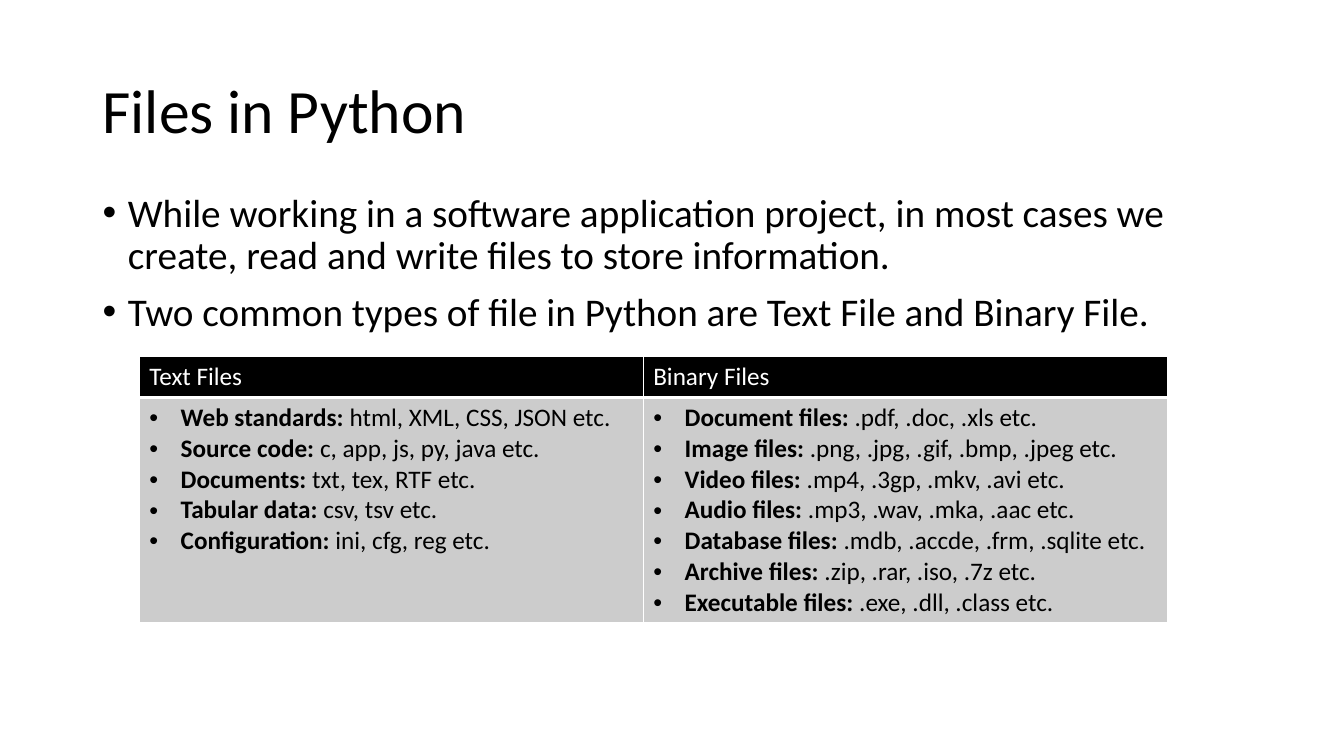
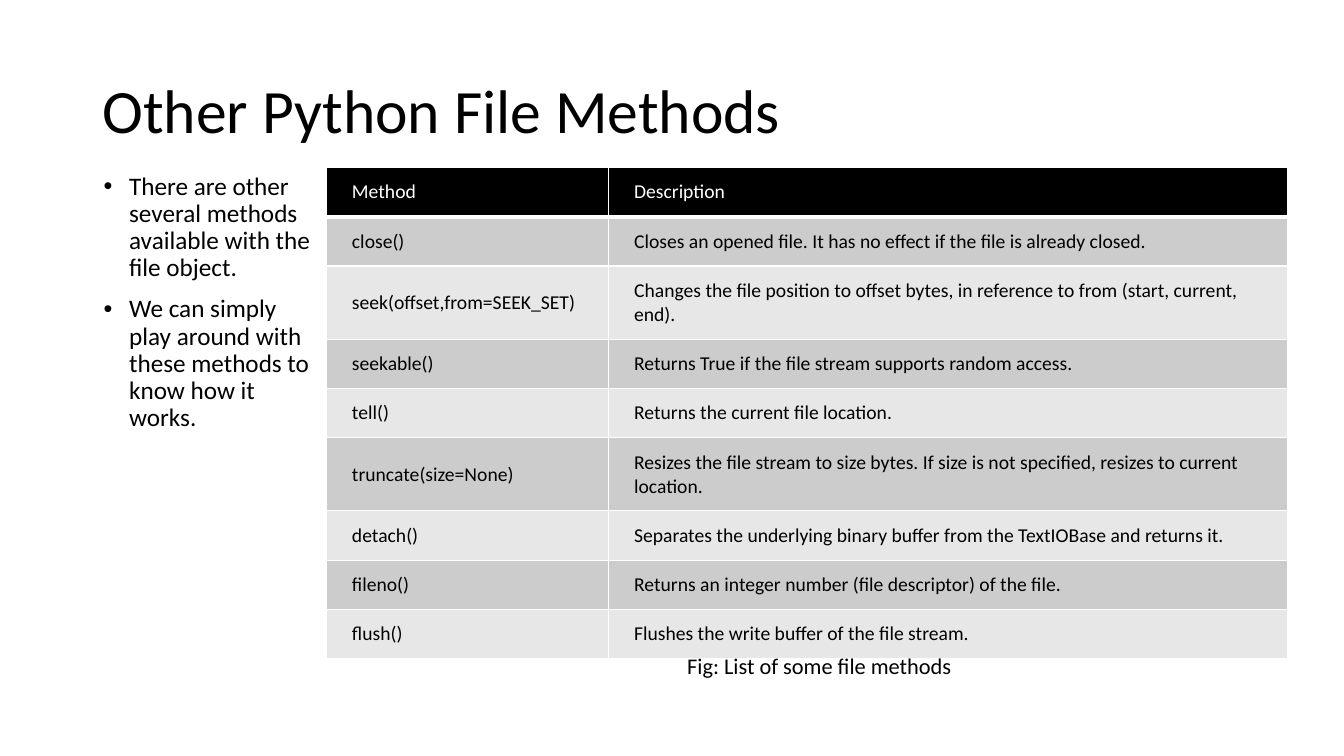
from pptx import Presentation
from pptx import util as u
from pptx.dml.color import RGBColor
from pptx.enum import text
from pptx.oxml import parse_xml
from pptx.oxml.ns import nsdecls

BLACK = RGBColor(0x00, 0x00, 0x00)
WHITE = RGBColor(0xFF, 0xFF, 0xFF)
DARK_BAND = RGBColor(0xCC, 0xCC, 0xCC)
LIGHT_BAND = RGBColor(0xE7, 0xE7, 0xE7)
FONT = "Calibri"

TEXT_FILES = [
    ("Web standards:", " html, XML, CSS, JSON etc."),
    ("Source code:", " c, app, js, py, java etc."),
    ("Documents:", " txt, tex, RTF etc."),
    ("Tabular data:", " csv, tsv etc."),
    ("Configuration:", " ini, cfg, reg etc."),
]
BINARY_FILES = [
    ("Document files:", " .pdf, .doc, .xls etc."),
    ("Image files:", " .png, .jpg, .gif, .bmp, .jpeg etc."),
    ("Video files:", " .mp4, .3gp, .mkv, .avi etc."),
    ("Audio files:", " .mp3, .wav, .mka, .aac etc."),
    ("Database files:", " .mdb, .accde, .frm, .sqlite etc."),
    ("Archive files:", " .zip, .rar, .iso, .7z etc."),
    ("Executable files:", " .exe, .dll, .class etc."),
]
METHODS = [
    ("Method", "Description"),
    ("close()", "Closes an opened file. It has no effect if the file is already closed."),
    ("seek(offset,from=SEEK_SET)",
     "Changes the file position to offset bytes, in reference to from (start, current, end)."),
    ("seekable()", "Returns True if the file stream supports random access."),
    ("tell()", "Returns the current file location."),
    ("truncate(size=None)",
     "Resizes the file stream to size bytes. If size is not specified, resizes to current location."),
    ("detach()", "Separates the underlying binary buffer from the TextIOBase and returns it."),
    ("fileno()", "Returns an integer number (file descriptor) of the file."),
    ("flush()", "Flushes the write buffer of the file stream."),
]
TALL_METHOD_ROWS = (2, 5)


def write(frame, items, size, color=BLACK, indent=None, spacing=None, gap=0):
    """Write one paragraph per item; an item is a string or (bold label, rest)."""
    for index, item in enumerate(items):
        paragraph = frame.paragraphs[0] if index == 0 else frame.add_paragraph()
        paragraph.alignment = text.PP_ALIGN.LEFT
        paragraph.space_before = u.Pt(gap if index else 0)
        if spacing:
            paragraph.line_spacing = spacing
        if indent:
            add_bullet(paragraph, indent)
        label, rest = ("", item) if isinstance(item, str) else item
        for words, bold in ((label, True), (rest, False)):
            if words:
                run = paragraph.add_run()
                run.text = words
                run.font.name, run.font.size, run.font.bold = FONT, u.Pt(size), bold
                run.font.color.rgb = color


def add_bullet(paragraph, indent):
    properties = paragraph._p.get_or_add_pPr()
    properties.set("marL", str(indent))
    properties.set("indent", str(-indent))
    properties.append(parse_xml(f'<a:buFont {nsdecls("a")} typeface="Arial"/>'))
    properties.append(parse_xml(f'<a:buChar {nsdecls("a")} char="•"/>'))


def add_borders(cell, header_rule):
    """White cell borders; header_rule names the thicker side, if any."""
    properties = cell._tc.get_or_add_tcPr()
    for side in "LRTB":
        width = u.Pt(3 if side == header_rule else 1)
        properties.append(parse_xml(
            f'<a:ln{side} {nsdecls("a")} w="{width}"><a:solidFill>'
            f'<a:srgbClr val="{WHITE}"/></a:solidFill></a:ln{side}>'))


class Deck:
    def __init__(self):
        self.presentation = Presentation()
        self.presentation.slide_width = u.Cm(33.87)
        self.presentation.slide_height = u.Cm(19.05)
        self.slide = None

    def place(self, shape, left, top, width, height):
        shape.left, shape.top = u.Cm(left), u.Cm(top)
        shape.width, shape.height = u.Cm(width), u.Cm(height)
        shape.text_frame.word_wrap = True
        shape.text_frame.auto_size = text.MSO_AUTO_SIZE.NONE
        return shape.text_frame

    def new_slide(self, title):
        self.slide = self.presentation.slides.add_slide(self.presentation.slide_layouts[1])
        frame = self.place(self.slide.shapes.title, 2.33, 1.01, 29.21, 3.68)
        frame.vertical_anchor = text.MSO_ANCHOR.MIDDLE
        write(frame, [title], 44, spacing=0.9)

    def body(self, items, box, size):
        frame = self.place(self.slide.placeholders[1], *box)
        frame.vertical_anchor = text.MSO_ANCHOR.TOP
        write(frame, items, size, indent=u.Cm(0.64), spacing=0.9, gap=10)

    def caption(self, words, box):
        frame = self.place(self.slide.shapes.add_textbox(0, 0, 0, 0), *box)
        write(frame, [words], 16)

    def table(self, rows, left, top, widths, heights, size, margins=None,
              anchor=text.MSO_ANCHOR.TOP):
        """A cell is a string, or a list that becomes bullets."""
        table = self.slide.shapes.add_table(
            len(rows), len(widths), u.Cm(left), u.Cm(top),
            u.Cm(sum(widths)), u.Cm(sum(heights))).table
        for column, width in zip(table.columns, widths):
            column.width = u.Cm(width)
        for index, (row, height, values) in enumerate(zip(table.rows, heights, rows)):
            row.height = u.Cm(height)
            header = index == 0
            band = BLACK if header else DARK_BAND if index % 2 else LIGHT_BAND
            for cell, value in zip(row.cells, values):
                add_borders(cell, "B" if header else "T" if index == 1 else None)
                cell.fill.solid()
                cell.fill.fore_color.rgb = band
                cell.vertical_anchor = anchor
                if margins:
                    cell.margin_left = cell.margin_right = u.Cm(margins[0])
                    cell.margin_top = cell.margin_bottom = u.Cm(margins[1])
                bulleted = isinstance(value, list)
                write(cell.text_frame, value if bulleted else [value], size,
                      color=WHITE if header else BLACK,
                      indent=u.Cm(0.79) if bulleted else None)


def main():
    deck = Deck()

    # File types
    deck.new_slide("Files in Python")
    deck.body([
        "While working in a software application project, in most cases we create, "
        "read and write files to store information.",
        "Two common types of file in Python are Text File and Binary File.",
    ], (2.33, 4.75, 29.21, 12.09), 28)
    deck.table([("Text Files", "Binary Files"), (TEXT_FILES, BINARY_FILES)],
               3.51, 8.99, (12.7, 13.22), (1.03, 5.6), 18)

    # File methods
    deck.new_slide("Other Python File Methods")
    deck.body([
        "There are other several methods available with the file object.",
        "We can simply play around with these methods to know how it works.",
    ], (2.36, 4.24, 5.87, 7.09), 18)
    heights = [1.84 if index in TALL_METHOD_ROWS else 1.24 for index in range(len(METHODS))]
    deck.table(METHODS, 8.23, 4.22, (7.11, 17.12), heights, 14,
               margins=(0.64, 0.32), anchor=text.MSO_ANCHOR.MIDDLE)
    deck.caption("Fig: List of some file methods", (17.07, 16.31, 7.62, 0.94))

    deck.presentation.save("out.pptx")


if __name__ == "__main__":
    main()
